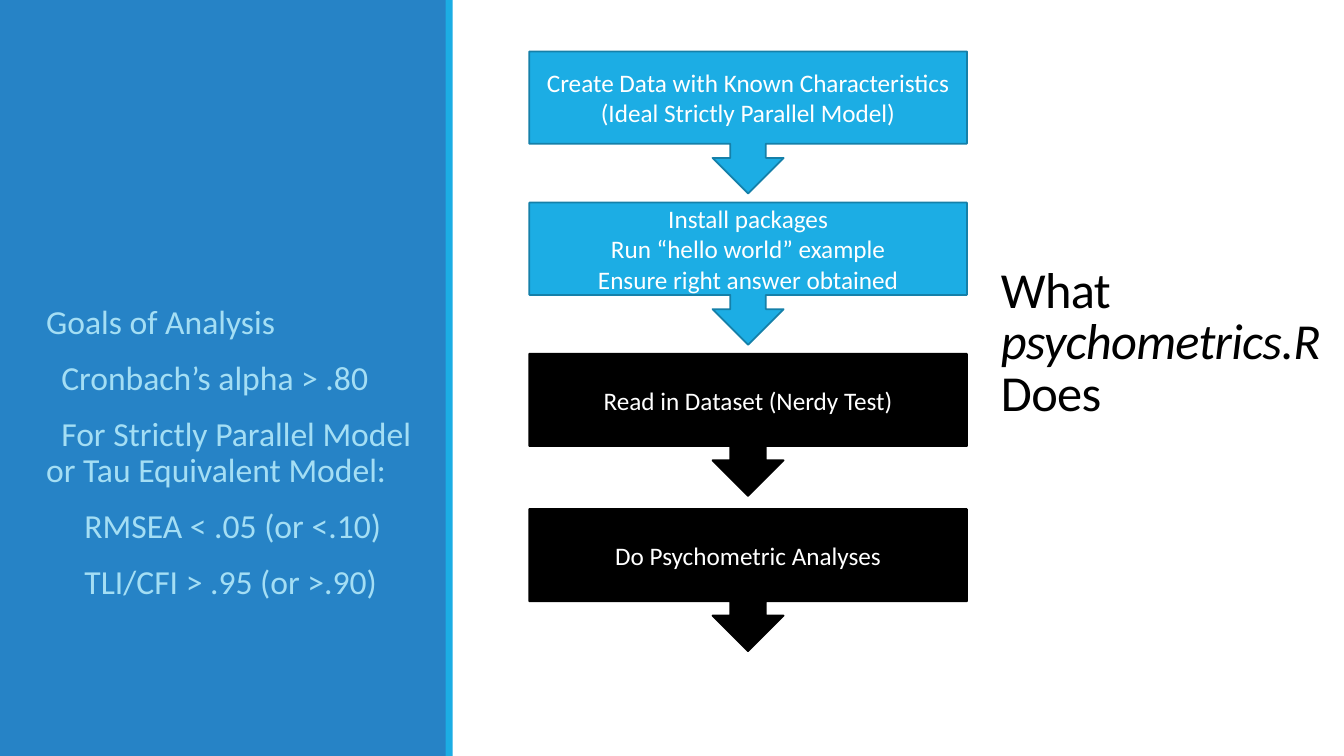
from pptx import Presentation
from pptx.dml.color import RGBColor
from pptx.enum.shapes import MSO_SHAPE
from pptx.enum.text import MSO_ANCHOR, PP_ALIGN
from pptx.util import Inches, Pt

BLUE = RGBColor(0x26, 0x83, 0xC6)
CYAN = RGBColor(0x1C, 0xAD, 0xE4)
DARK_CYAN = RGBColor(0x15, 0x80, 0xA9)
PALE_CYAN = RGBColor(0xA4, 0xDE, 0xF4)
BLACK = RGBColor(0, 0, 0)
WHITE = RGBColor(255, 255, 255)

# Text and first-line indent in inches
GOALS = [
    ("Goals of Analysis", 0),
    ("Cronbach’s alpha > .80", 0.15),
    ("For Strictly Parallel Model or Tau Equivalent Model:", 0.15),
    ("RMSEA < .05 (or <.10)", 0.38),
    ("TLI/CFI > .95 (or >.90)", 0.38),
]
# Top in inches, fill, outline, text
STEPS = [
    (0.51, CYAN, DARK_CYAN,
     "Create Data with Known Characteristics\n(Ideal Strictly Parallel Model)"),
    (2.01, CYAN, DARK_CYAN,
     "Install packages\nRun “hello world” example\nEnsure right answer obtained"),
    (3.51, BLACK, BLACK, "Read in Dataset (Nerdy Test)"),
    (5.05, BLACK, BLACK, "Do Psychometric Analyses"),
]


def set_font(font, size, color):
    font.name = "Calibri"
    font.size = Pt(size)
    font.color.rgb = color


def add_filled_shape(slide, kind, left, top, width, height, fill):
    shape = slide.shapes.add_shape(
        kind, Inches(left), Inches(top), Inches(width), Inches(height))
    shape.shadow.inherit = False
    shape.fill.solid()
    shape.fill.fore_color.rgb = fill
    shape.line.fill.background()
    return shape


def add_text_frame(slide, left, top, width, height):
    box = slide.shapes.add_textbox(
        Inches(left), Inches(top), Inches(width), Inches(height))
    box.text_frame.word_wrap = True
    return box.text_frame


def add_goals_panel(slide, left, top, width, height):
    add_filled_shape(slide, MSO_SHAPE.RECTANGLE, left, top, width, height, BLUE)
    add_filled_shape(slide, MSO_SHAPE.RECTANGLE,
                     left + width - 0.01, top, 0.07, height, CYAN)
    frame = add_text_frame(slide, left + 0.36, top + 2.98, width - 0.5, height - 3.07)
    frame.text = "\n".join(goal for goal, indent in GOALS)
    for para, (goal, indent) in zip(frame.paragraphs, GOALS):
        para.line_spacing = 0.9
        para.space_before = Pt(12)
        para.space_after = Pt(2)
        para.runs[0].font.language_id = None
        set_font(para.runs[0].font, 24, PALE_CYAN)
        para._p.get_or_add_pPr().set("indent", str(Inches(indent)))


def add_title(slide, left, top, width, height):
    frame = add_text_frame(slide, left, top, width, height)
    frame.vertical_anchor = MSO_ANCHOR.BOTTOM
    para = frame.paragraphs[0]
    para.line_spacing = 0.85
    for text, italic in [("What ", False), ("psychometrics.R", True), (" Does", False)]:
        span = para.add_run()
        span.text = text
        set_font(span.font, 36, BLACK)
        span.font.italic = italic
        span._r.get_or_add_rPr().set("spc", "-50")


def add_steps(slide, left, width, height):
    for top, fill, outline, text in STEPS:
        step = add_filled_shape(slide, MSO_SHAPE.DOWN_ARROW_CALLOUT,
                                left, top, width, height, fill)
        step.line.color.rgb = outline
        step.line.width = Pt(1.25)
        frame = step.text_frame
        frame.word_wrap = True
        frame.vertical_anchor = MSO_ANCHOR.MIDDLE
        frame.text = text
        for para in frame.paragraphs:
            para.alignment = PP_ALIGN.CENTER
            set_font(para.runs[0].font, 18, WHITE)


def main():
    deck = Presentation()
    deck.slide_width = Inches(13.33)
    deck.slide_height = Inches(7.5)
    slide = deck.slides.add_slide(deck.slide_layouts[6])
    add_goals_panel(slide, 0, 0, 4.43, 7.5)
    add_title(slide, 9.83, 1.73, 3.5, 2.5)
    add_steps(slide, 5.25, 4.34, 1.41)
    deck.save("out.pptx")


if __name__ == "__main__":
    main()
